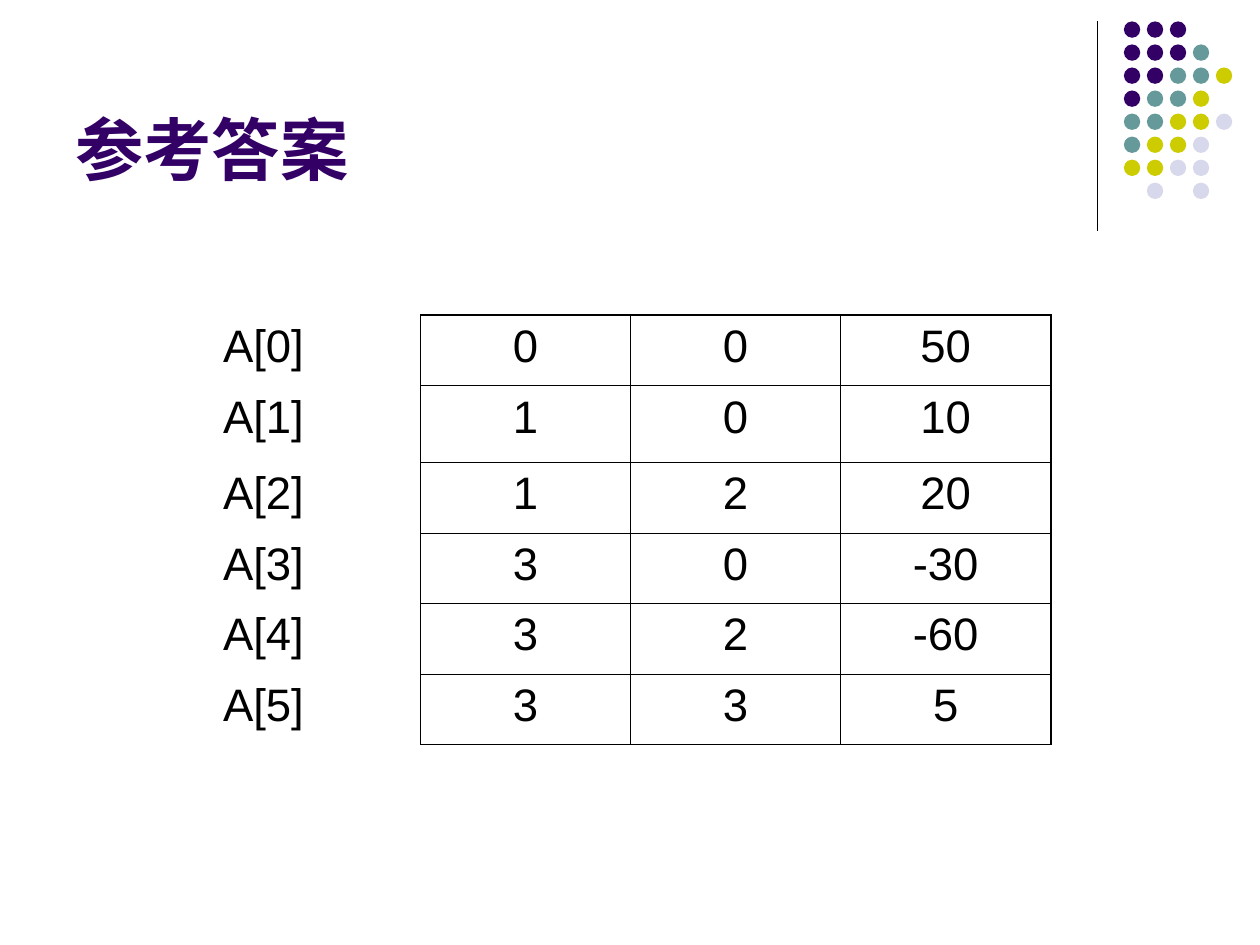
from lxml import etree
from pptx import Presentation
from pptx.dml.color import RGBColor
from pptx.enum.lang import MSO_LANGUAGE_ID
from pptx.enum.shapes import MSO_CONNECTOR, MSO_SHAPE
from pptx.enum.text import MSO_ANCHOR, PP_ALIGN
from pptx.oxml.ns import qn
from pptx.util import Inches, Pt

STRAIGHT = MSO_CONNECTOR.STRAIGHT
OVAL = MSO_SHAPE.OVAL
BOTTOM = MSO_ANCHOR.BOTTOM
LEFT, CENTER = PP_ALIGN.LEFT, PP_ALIGN.CENTER
CHINESE = MSO_LANGUAGE_ID.SIMPLIFIED_CHINESE

COLORS = {
    "ink": "000000",
    "purple": "330066",
    "teal": "669999",
    "olive": "CCCC00",
    "mist": "D8D8EC",
}
FONT = "Arial"
THIN, THICK = 0.45, 1.08
DOT_COLORS = {"P": "purple", "T": "teal", "O": "olive", "M": "mist"}
DOT_ROWS = ["PPP", "PPPT", "PPTTO", "PTTO", "TTOOM", "TOOM", "OOMM", ".M.M"]
ANSWER = [
    ("A[0]", 0, 0, 50),
    ("A[1]", 1, 0, 10),
    ("A[2]", 1, 2, 20),
    ("A[3]", 3, 0, -30),
    ("A[4]", 3, 2, -60),
    ("A[5]", 3, 3, 5),
]
ROW_HEIGHTS = [0.56, 0.61, 0.56, 0.56, 0.56, 0.56]


def color(name):
    return RGBColor.from_string(COLORS[name])


def write(para, text, size, tint, bold=False):
    span = para.add_run()
    span.text = text
    span.font.name = FONT
    span.font.size = Pt(size)
    span.font.bold = bold
    span.font.color.rgb = color(tint)
    return span


def add_rule(page, x, top, bottom):
    rule = page.shapes.add_connector(
        STRAIGHT, Inches(x), Inches(top), Inches(x), Inches(bottom)
    )
    rule.line.color.rgb = color("ink")
    rule.line.width = Pt(0.75)
    etree.SubElement(rule._element.spPr, qn("a:effectLst"))


def add_dots(page, left, top, width, height):
    size = 0.13
    step_x = (width - size) / (max(map(len, DOT_ROWS)) - 1)
    step_y = (height - size) / (len(DOT_ROWS) - 1)
    group = page.shapes.add_group_shape()
    for row, codes in enumerate(DOT_ROWS):
        for column, code in enumerate(codes):
            if code not in DOT_COLORS:
                continue
            dot = group.shapes.add_shape(
                OVAL,
                Inches(left + column * step_x),
                Inches(top + row * step_y),
                Inches(size),
                Inches(size),
            )
            dot.shadow.inherit = False
            dot.fill.solid()
            dot.fill.fore_color.rgb = color(DOT_COLORS[code])
            dot.line.fill.background()


def add_title(page, left, top, width, height):
    box = page.shapes.add_textbox(
        Inches(left), Inches(top), Inches(width), Inches(height)
    )
    frame = box.text_frame
    frame.word_wrap = True
    frame.vertical_anchor = BOTTOM
    span = write(frame.paragraphs[0], "参考答案", 39, "purple", bold=True)
    span.font.language_id = CHINESE


def set_borders(cell, widths):
    properties = cell._tc.get_or_add_tcPr()
    for side in "LRTB":
        width = widths.get(side, 0)
        line = etree.SubElement(properties, qn(f"a:ln{side}"), w=str(Pt(width)))
        if width:
            fill = etree.SubElement(line, qn("a:solidFill"))
            etree.SubElement(fill, qn("a:srgbClr"), val=COLORS["ink"])
        else:
            etree.SubElement(line, qn("a:noFill"))


def border_widths(row, column, last_row, last_column):
    if column == 0:
        return {"R": THIN}
    return {
        "L": THIN,
        "R": THICK if column == last_column else THIN,
        "T": THICK if row == 0 else THIN,
        "B": THICK if row == last_row else THIN,
    }


def add_answer_table(page, left, top, width, height):
    rows, columns = len(ANSWER), len(ANSWER[0])
    table = page.shapes.add_table(
        rows, columns, Inches(left), Inches(top), Inches(width), Inches(height)
    ).table
    table.first_row = False
    table.horz_banding = False
    for column in table.columns:
        column.width = Inches(width / columns)
    for row, values in enumerate(ANSWER):
        table.rows[row].height = Inches(ROW_HEIGHTS[row])
        for column, value in enumerate(values):
            cell = table.cell(row, column)
            set_borders(cell, border_widths(row, column, rows - 1, columns - 1))
            cell.fill.background()
            para = cell.text_frame.paragraphs[0]
            para.alignment = CENTER if column else LEFT
            write(para, str(value), 26, "ink")


def main():
    deck = Presentation()
    deck.slide_width, deck.slide_height = Inches(10), Inches(7.5)
    page = deck.slides.add_slide(deck.slide_layouts[6])
    add_rule(page, 8.71, 0.17, 1.83)
    add_dots(page, 8.92, 0.17, 0.86, 1.41)
    add_title(page, 0.5, 0.13, 8.25, 1.42)
    add_answer_table(page, 1.67, 2.5, 6.67, sum(ROW_HEIGHTS))
    deck.save("out.pptx")


if __name__ == "__main__":
    main()
